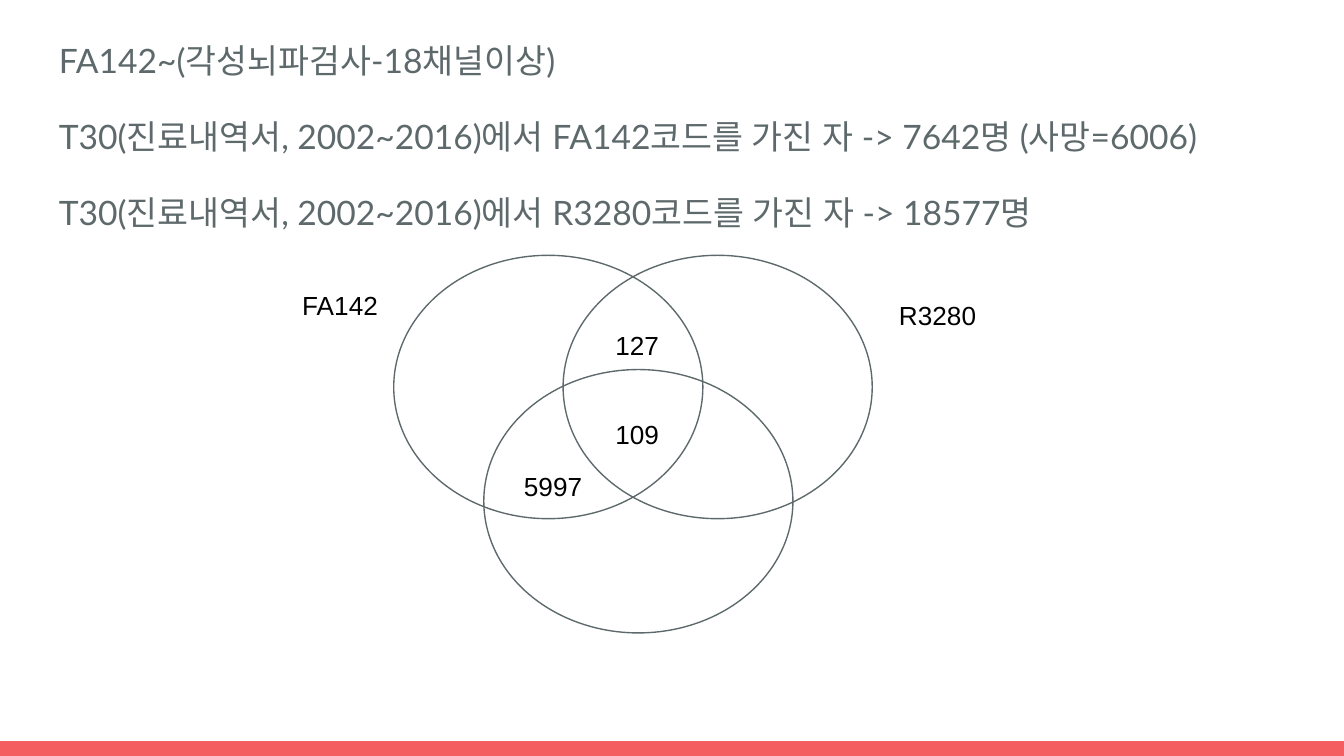
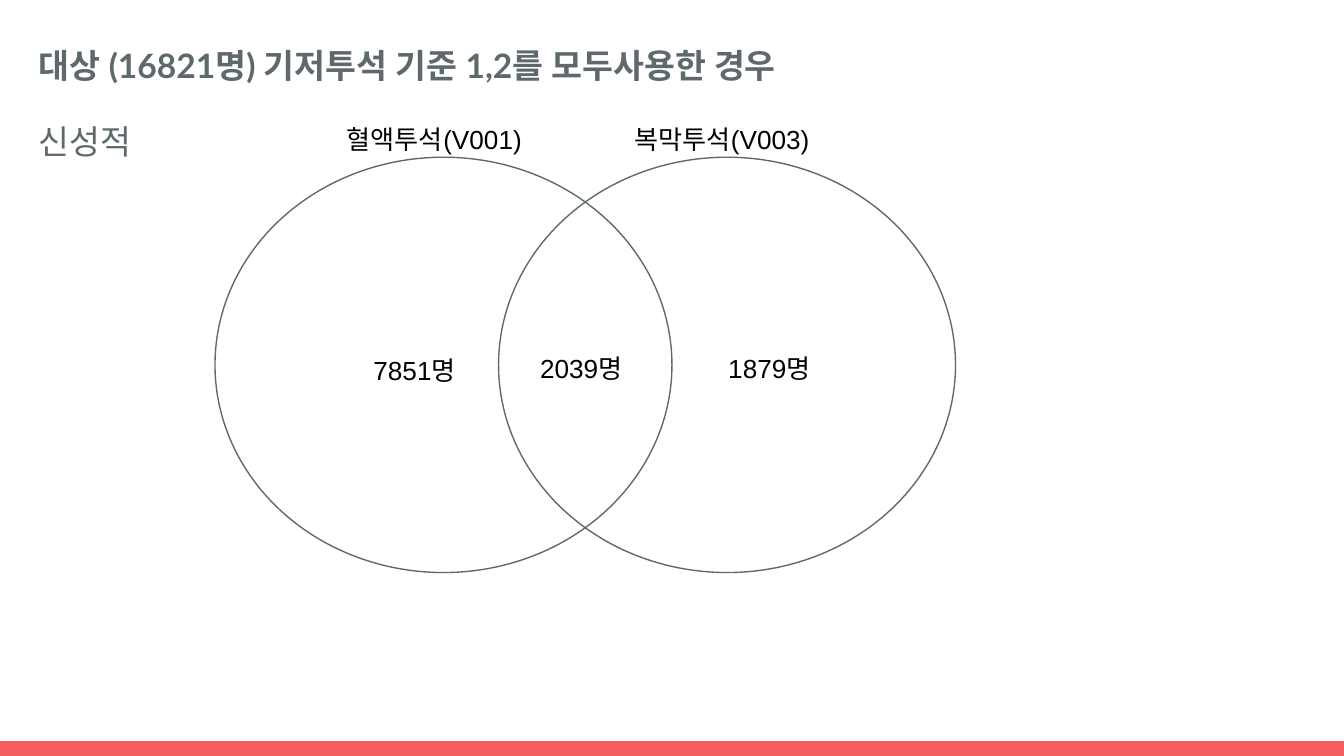
from lxml.etree import SubElement
from pptx import Presentation
from pptx.dml.color import RGBColor
from pptx.enum.shapes import MSO_SHAPE as Shape
from pptx.enum.text import MSO_ANCHOR as Anchor, PP_ALIGN as Align
from pptx.oxml.ns import qn
from pptx.util import Inches, Pt

COLORS = {"band": "F55E61", "slate": "5E696C", "label": "000000"}
WIDTH = 10
HEIGHT = WIDTH * 9 / 16
BAND_HEIGHT = 0.11
BODY_SIZE = (9.32, 5.1)
MARGIN = 0.1
BODY_FONT = {"name": "Lato", "size": Pt(18)}
LABEL_FONT = {"name": "Arial", "size": Pt(14)}
FRAME = {"word_wrap": True, "vertical_anchor": Anchor.TOP}
FRAME.update({f"margin_{side}": Inches(MARGIN) for side in ("left", "top", "right", "bottom")})

CODE_LINES = [
    "FA142~(각성뇌파검사-18채널이상)",
    "T30(진료내역서, 2002~2016)에서 FA142코드를 가진 자 -> 7642명 (사망=6006)",
    "T30(진료내역서, 2002~2016)에서 R3280코드를 가진 자 -> 18577명",
]
CODE_CIRCLES = [(2.93, 1.9), (4.19, 1.9), (3.6, 2.75)]
CODE_LABELS = [
    ("FA142", 2.15, 2.05, 0.78, 0.37),
    ("R3280", 6.59, 2.13, 0.78, 0.37),
    ("5997", 3.8, 3.4, 0.65, 0.37),
    ("109", 4.48, 3.01, 0.6, 0.37),
    ("127", 4.48, 2.35, 0.65, 0.37),
]
DIALYSIS_LINES = ["대상 (16821명) 기저투석 기준 1,2를 모두사용한 경우", "신성적"]
DIALYSIS_CIRCLES = [(1.6, 1.17), (3.71, 1.17)]
DIALYSIS_LABELS = [
    ("혈액투석(V001)", 2.48, 0.82, 2.04, 0.35),
    ("복막투석(V003)", 4.62, 0.82, 2.04, 0.35),
    ("7851명", 2.68, 2.54, 1.25, 0.35),
    ("2039명", 3.92, 2.52, 1.02, 0.44),
    ("1879명", 5.32, 2.52, 1.25, 0.42),
]


def rgb(key):
    """Return the named colour."""
    return RGBColor.from_string(COLORS[key])


def apply(target, formats):
    """Set each format value on the target."""
    for attribute, value in formats.items():
        setattr(target, attribute, value)


def style_run(run, font, color, bold):
    """Format a run, using one typeface for every script."""
    apply(run.font, {**font, "bold": bold})
    run.font.color.rgb = rgb(color)
    for script in ("a:ea", "a:cs"):
        SubElement(run.font._element, qn(script), typeface=font["name"])


def add_text(slide, box, lines, font, color, line_spacing=1.0, gap=0, bold_lines=0):
    """Add a text box with one paragraph per line."""
    frame = slide.shapes.add_textbox(*map(Inches, box)).text_frame
    apply(frame, FRAME)
    for index, line in enumerate(lines):
        paragraph = frame.add_paragraph() if index else frame.paragraphs[0]
        apply(paragraph, {
            "alignment": Align.LEFT,
            "line_spacing": line_spacing,
            "space_before": Pt(gap if index else 0),
        })
        run = paragraph.add_run()
        run.text = line
        style_run(run, font, color, index < bold_lines)


def add_band(slide):
    """Add the coloured band along the bottom edge."""
    band = slide.shapes.add_shape(
        Shape.RECTANGLE, 0, Inches(HEIGHT - BAND_HEIGHT), Inches(WIDTH), Inches(BAND_HEIGHT))
    band.shadow.inherit = False
    band.fill.solid()
    band.fill.fore_color.rgb = rgb("band")
    band.line.fill.background()


def add_venn(slide, positions, size, labels):
    """Add equal outlined circles and their labels."""
    for position in positions:
        circle = slide.shapes.add_shape(Shape.OVAL, *map(Inches, position + size))
        circle.shadow.inherit = False
        circle.fill.background()
        circle.line.color.rgb = rgb("slate")
        circle.line.width = Pt(0.75)
    for text, *box in labels:
        add_text(slide, box, [text], LABEL_FONT, "label")


def add_venn_slide(deck, corner, lines, circles, circle_size, labels, bold_lines=0):
    """Add a slide with body text above a Venn diagram."""
    slide = deck.slides.add_slide(deck.slide_layouts[6])
    add_band(slide)
    add_text(slide, corner + BODY_SIZE, lines, BODY_FONT, "slate",
             line_spacing=1.15, gap=16, bold_lines=bold_lines)
    add_venn(slide, circles, circle_size, labels)


def main():
    """Build and save the deck."""
    deck = Presentation()
    apply(deck, {"slide_width": Inches(WIDTH), "slide_height": Inches(HEIGHT)})
    add_venn_slide(deck, (0.34, 0.15), CODE_LINES, CODE_CIRCLES, (2.3, 1.96), CODE_LABELS)
    add_venn_slide(deck, (0.19, 0.19), DIALYSIS_LINES, DIALYSIS_CIRCLES, (3.4, 3.09),
                   DIALYSIS_LABELS, bold_lines=1)
    deck.save("out.pptx")


if __name__ == "__main__":
    main()
